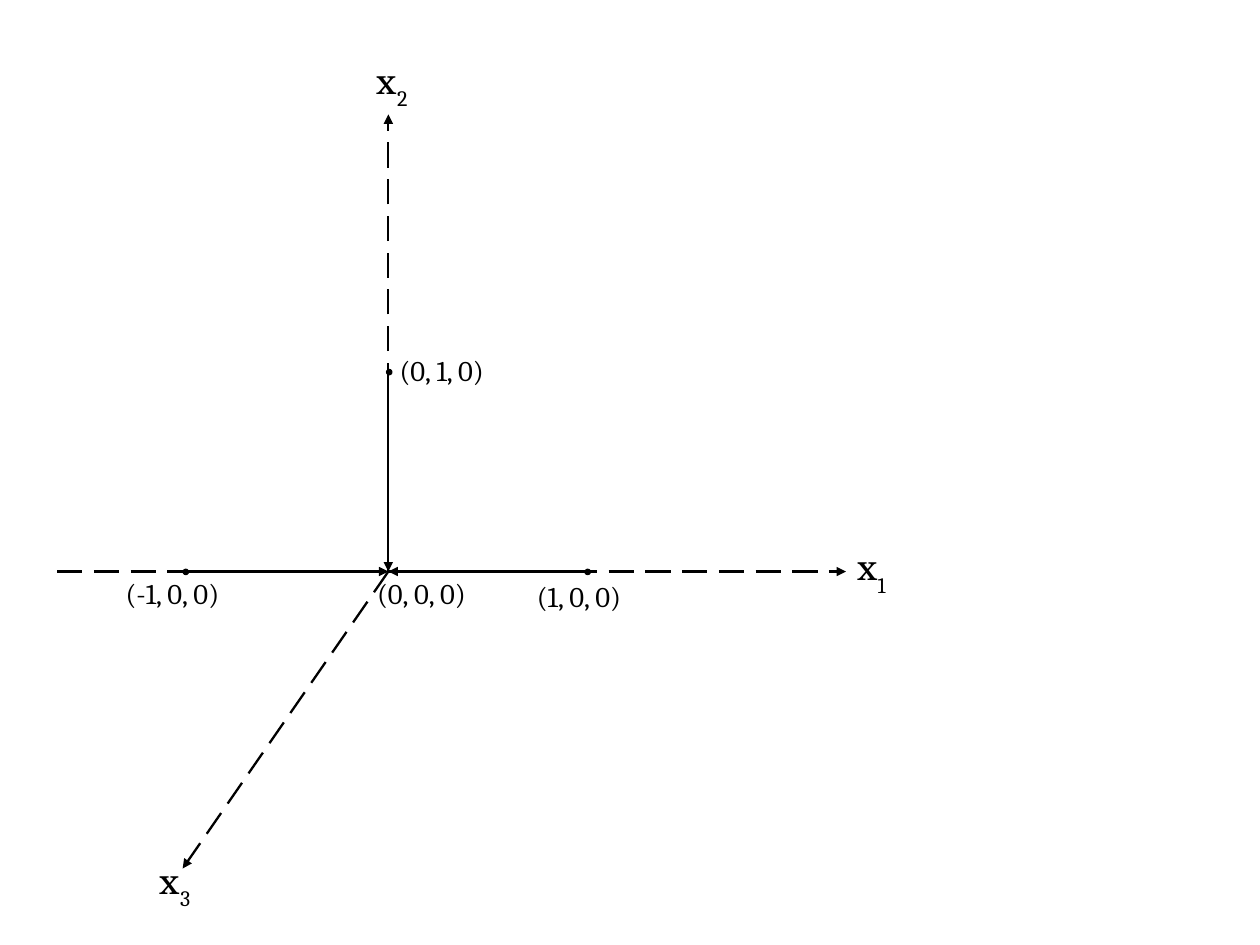
"""Draw three dashed axes with unit vectors that point to the origin."""
import pptx
import pptx.util
import pptx.dml.color
import pptx.enum.shapes
import lxml.etree

Cm = pptx.util.Cm
Pt = pptx.util.Pt
NS = "http://schemas.openxmlformats.org/drawingml/2006/main"
INK = "000000"
WIDE, HIGH = 28, 21
ORIGIN = (8.63, 12.7)
DOT = 0.12
BOX_HIGH = 1.68

AXES = [
    ((1.27, 12.7), ORIGIN, False),
    (ORIGIN, (18.8, 12.7), True),
    (ORIGIN, (8.63, 2.54), True),
    (ORIGIN, (4.06, 19.3), True),
]
TIPS = [
    ((13.08, 12.7), (13.06, 12.71)),
    ((8.63, 8.25), (8.65, 8.27)),
    ((4.19, 12.7), (4.13, 12.71)),
]
POINTS = [
    ("(0, 0, 0)", 8.13, 12.68, 2.79),
    ("(1, 0, 0)", 11.68, 12.73, 2.79),
    ("(0, 1, 0)", 8.63, 7.72, 2.79),
    ("(-1, 0, 0)", 2.54, 12.68, 3.05),
]
NAMES = [("1", 18.8, 11.93), ("2", 8.12, 1.12), ("3", 3.3, 18.9)]


def color(code):
    return pptx.dml.color.RGBColor.from_string(code)


def add(top, tag, **attrs):
    return lxml.etree.SubElement(top, f"{{{NS}}}{tag}", attrs)


def draw(start, end, dash, head):
    line = slide.shapes.add_connector(
        pptx.enum.shapes.MSO_CONNECTOR.STRAIGHT,
        *(Cm(v) for v in (*start, *end)))
    line.line.width = Pt(1.45)
    line.line.color.rgb = color(INK)
    props = line.line._get_or_add_ln()
    if dash:
        add(add(props, "custDash"), "ds", d="1100000", sp="500000")
    if head:
        add(props, "tailEnd", type="triangle")
    add(line._element.spPr, "effectLst")


def mark(x, y):
    dot = slide.shapes.add_shape(
        pptx.enum.shapes.MSO_SHAPE.OVAL,
        Cm(x - DOT / 2), Cm(y - DOT / 2), Cm(DOT), Cm(DOT))
    dot.shadow.inherit = False
    dot.fill.solid()
    dot.fill.fore_color.rgb = color(INK)
    dot.line.color.rgb = color(INK)
    dot.line.width = Pt(0.75)


def label(x, y, wide, runs):
    box = slide.shapes.add_textbox(Cm(x), Cm(y), Cm(wide), Cm(BOX_HIGH))
    box.text_frame.word_wrap = True
    for text, font, size, sub in runs:
        run = box.text_frame.paragraphs[0].add_run()
        run.text = text
        run.font.name = font
        run.font.size = Pt(size)
        run.font.color.rgb = color(INK)
        if sub:
            run._r.get_or_add_rPr().set("baseline", "-33000")


deck = pptx.Presentation()
deck.slide_width, deck.slide_height = Cm(WIDE), Cm(HIGH)
slide = deck.slides.add_slide(deck.slide_layouts[6])

for start, end, head in AXES:
    draw(start, end, True, head)
for tip, spot in TIPS:
    draw(tip, ORIGIN, False, True)
    mark(*spot)
for text, x, y, wide in POINTS:
    label(x, y, wide, [(text, "Cambria", 18, False)])
for digit, x, y in NAMES:
    label(x, y, 2.79, [("x", "TeX Gyre Schola", 24, False),
                       (digit, "Cambria", 24, True)])

deck.save("out.pptx")
